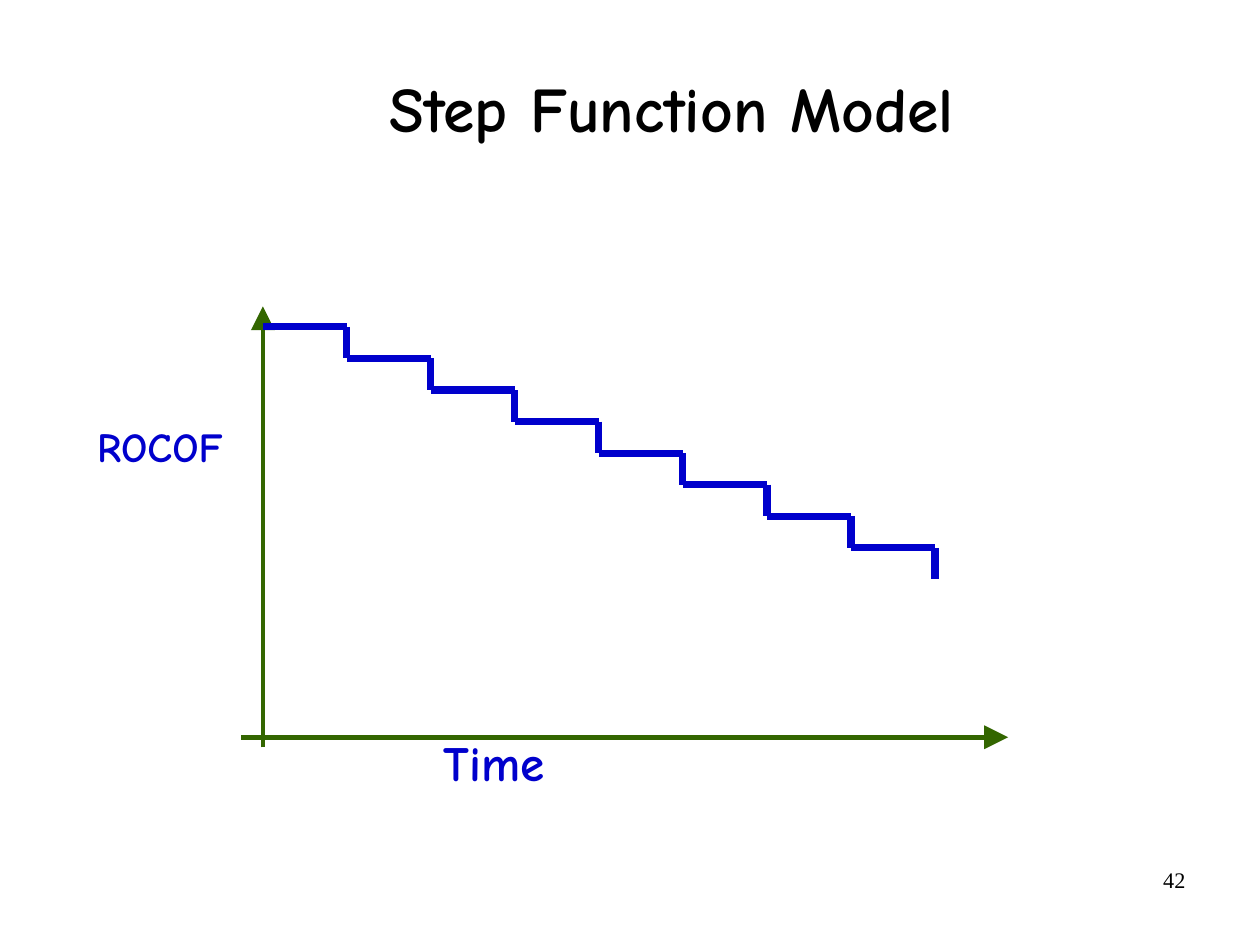
from lxml.etree import SubElement
from pptx import Presentation
from pptx.dml.color import RGBColor
from pptx.enum.shapes import MSO_CONNECTOR
from pptx.enum.text import MSO_ANCHOR, PP_ALIGN
from pptx.oxml.ns import qn
from pptx.util import Inches, Pt

BLACK = RGBColor(0x00, 0x00, 0x00)
GREEN = RGBColor(0x33, 0x66, 0x00)
BLUE = RGBColor(0x00, 0x00, 0xCC)
CM_PER_INCH = 2.54
STEP_COUNT = 8
CURVE_LEFT, CURVE_TOP = 2.3, 2.86
CURVE_RIGHT, CURVE_BOTTOM = 8.18, 5.07

# The page is 28 by 21 centimetres
presentation = Presentation()
presentation.slide_width = Inches(28 / CM_PER_INCH)
presentation.slide_height = Inches(21 / CM_PER_INCH)
slide = presentation.slides.add_slide(presentation.slide_layouts[6])


def add_line(start, end, color, width, arrow=False):
    """Draw a straight line, with an optional large arrowhead at its end."""
    points = [Inches(value) for value in (*start, *end)]
    connector = slide.shapes.add_connector(MSO_CONNECTOR.STRAIGHT, *points)
    connector.line.color.rgb = color
    connector.line.width = Pt(width)
    properties = connector._element.spPr
    if arrow:
        SubElement(properties.find(qn("a:ln")), qn("a:tailEnd"),
                   type="triangle", w="lg", len="lg")
    SubElement(properties, qn("a:effectLst"))


def add_text(text, box, size, color, spacing, space_before, margins=(0.02, 0.06),
             font="Comic Neue", bold=True, align=PP_ALIGN.LEFT, anchor=MSO_ANCHOR.TOP):
    """Add a text box holding one paragraph."""
    shape = slide.shapes.add_textbox(*[Inches(value) for value in box])
    frame = shape.text_frame
    frame.word_wrap = True
    frame.vertical_anchor = anchor
    frame.margin_left = frame.margin_right = Inches(margins[0])
    frame.margin_top = frame.margin_bottom = Inches(margins[1])
    paragraph = frame.paragraphs[0]
    paragraph.text = text
    paragraph.alignment = align
    paragraph.line_spacing = spacing
    paragraph.space_before = Pt(space_before)
    paragraph.font.name = font
    paragraph.font.size = Pt(size)
    paragraph.font.bold = bold
    paragraph.font.color.rgb = color


add_text("42", (7.9, 7.53, 2.57, 0.57), 14, BLACK, 1.0, 0, margins=(0.1, 0.05),
         font="Times New Roman", bold=False, align=PP_ALIGN.RIGHT)
add_text("Step Function Model", (1.18, 0.3, 9.39, 1.37), 40, BLACK, 0.88, 5.4,
         align=PP_ALIGN.CENTER, anchor=MSO_ANCHOR.MIDDLE)

# Axes
add_line((2.3, 6.54), (2.3, 2.68), GREEN, 3, arrow=True)
add_line((2.11, 6.45), (8.82, 6.45), GREEN, 3, arrow=True)

# Falling steps: a flat tread, then a drop
step_width = (CURVE_RIGHT - CURVE_LEFT) / STEP_COUNT
step_height = (CURVE_BOTTOM - CURVE_TOP) / STEP_COUNT
for step in range(STEP_COUNT):
    left = CURVE_LEFT + step * step_width
    top = CURVE_TOP + step * step_height
    right, bottom = left + step_width, top + step_height
    add_line((left, top), (right, top), BLUE, 4.51)
    add_line((right, top), (right, bottom), BLUE, 4.51)

# Axis labels
add_text("ROCOF", (0.83, 3.69, 1.84, 0.55), 26, BLUE, 0.85, 15.1)
add_text("Time", (3.86, 6.43, 1.28, 0.62), 31, BLUE, 0.85, 17.6)

presentation.save("out.pptx")
